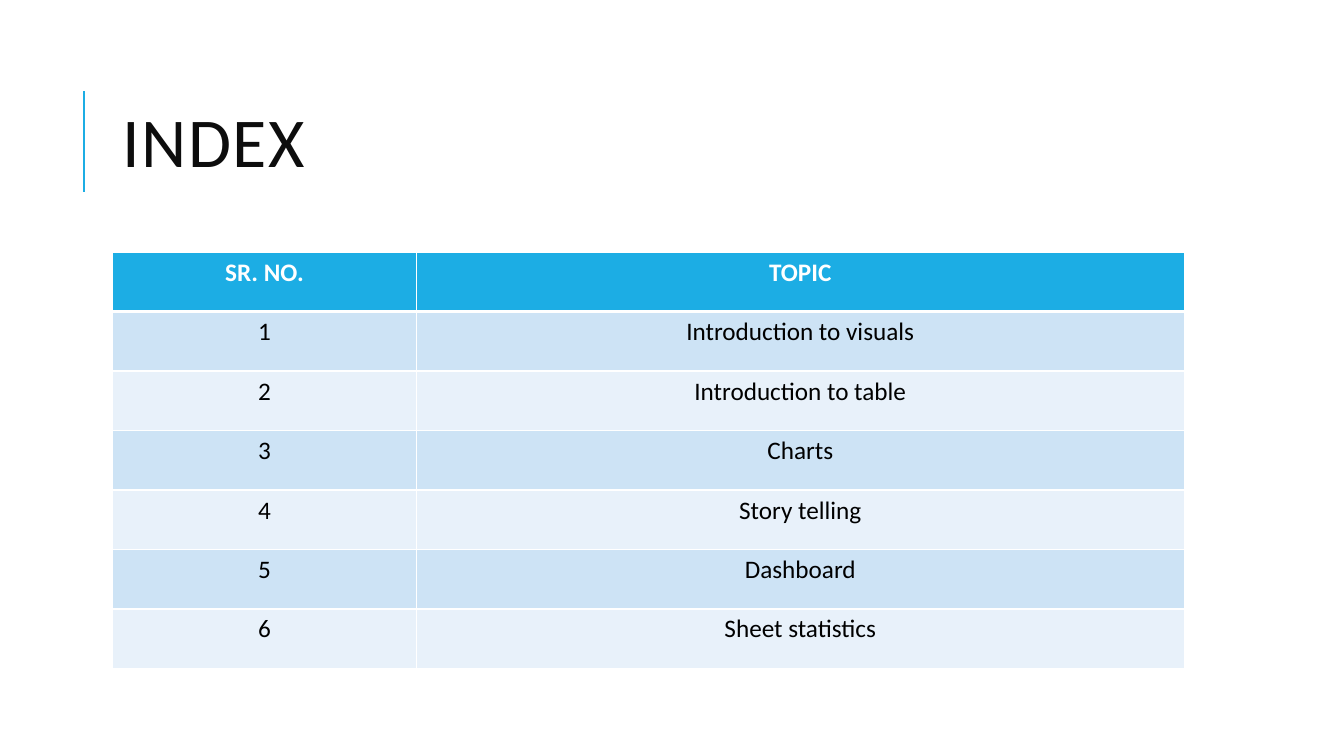
from dataclasses import dataclass

import pptx
import pptx.dml.color
import pptx.enum.shapes
import pptx.enum.text
import pptx.oxml
import pptx.oxml.ns
import pptx.util
from lxml import etree

SLIDE_WIDTH = pptx.util.Inches(13.33)
SLIDE_HEIGHT = pptx.util.Inches(7.5)
GRID_COLUMNS, GRID_ROWS = 96, 54


@dataclass(frozen=True)
class Theme:
    font: str = "Calibri"
    accent: str = "1CADE4"
    title: str = "0D0D0D"
    body: str = "000000"
    white: str = "FFFFFF"
    bands: tuple[str, str] = ("CDE3F5", "E8F1FA")
    title_size: float = 50
    table_size: float = 18
    accent_line: float = 1.5
    cell_line: float = 1
    header_line: float = 3


@dataclass(frozen=True)
class IndexEntry:
    number: str
    topic: str
    fill: str
    color: str
    header: bool = False


THEME = Theme()
TOPICS = ("Introduction to visuals", "Introduction to table", "Charts",
          "Story telling", "Dashboard", "Sheet statistics")

# Shared left edge, and the table's columns and row height, in grid units
CONTENT_LEFT = 8.06
NUMBER_WIDTH, TOPIC_WIDTH = 21.67, 54.87
CONTENT_WIDTH = NUMBER_WIDTH + TOPIC_WIDTH
ENTRY_HEIGHT = 4.25


def across(columns: float) -> int:
    return round(SLIDE_WIDTH * columns / GRID_COLUMNS)


def down(rows: float) -> int:
    return round(SLIDE_HEIGHT * rows / GRID_ROWS)


def rgb(color: str) -> pptx.dml.color.RGBColor:
    return pptx.dml.color.RGBColor.from_string(color)


def add_run(paragraph, text: str, size: float, color: str, bold: bool = False):
    run = paragraph.add_run()
    run.text = text
    run.font.name = THEME.font
    run.font.size = pptx.util.Pt(size)
    run.font.color.rgb = rgb(color)
    run.font.bold = bold
    return run


def draw_title(slide, text: str) -> None:
    # Accent rule
    rule = slide.shapes.add_connector(
        pptx.enum.shapes.MSO_CONNECTOR.STRAIGHT,
        across(6), down(13.7), across(6), down(6.5))
    rule.line.color.rgb = rgb(THEME.accent)
    rule.line.width = pptx.util.Pt(THEME.accent_line)
    etree.SubElement(rule.element.spPr, pptx.oxml.ns.qn("a:effectLst"))

    # Heading
    heading = slide.shapes.add_textbox(
        across(CONTENT_LEFT), down(4.6), across(CONTENT_WIDTH), down(11.8))
    frame = heading.text_frame
    frame.word_wrap = True
    frame.vertical_anchor = pptx.enum.text.MSO_ANCHOR.MIDDLE
    paragraph = frame.paragraphs[0]
    paragraph.line_spacing = 0.8
    run = add_run(paragraph, text, THEME.title_size, THEME.title)
    run.font._element.set("spc", "100")


def set_borders(cell, bottom: float) -> None:
    properties = cell._tc.get_or_add_tcPr()
    widths = {"L": THEME.cell_line, "R": THEME.cell_line,
              "T": THEME.cell_line, "B": bottom}
    for position, (side, width) in enumerate(widths.items()):
        border = pptx.oxml.parse_xml(
            f'<a:ln{side} {pptx.oxml.ns.nsdecls("a")} w="{pptx.util.Pt(width)}">'
            f'<a:solidFill><a:srgbClr val="{THEME.white}"/></a:solidFill>'
            f'</a:ln{side}>')
        properties.insert(position, border)


def draw_cell(cell, text: str, entry: IndexEntry) -> None:
    cell.fill.solid()
    cell.fill.fore_color.rgb = rgb(entry.fill)
    set_borders(cell, THEME.header_line if entry.header else THEME.cell_line)
    paragraph = cell.text_frame.paragraphs[0]
    paragraph.alignment = pptx.enum.text.PP_ALIGN.CENTER
    add_run(paragraph, text, THEME.table_size, entry.color, entry.header)


def draw_index(slide, entries: list[IndexEntry]) -> None:
    index = slide.shapes.add_table(
        len(entries), 2, across(CONTENT_LEFT), down(18),
        across(CONTENT_WIDTH), down(ENTRY_HEIGHT * len(entries))).table
    for column, width in zip(index.columns, (NUMBER_WIDTH, TOPIC_WIDTH)):
        column.width = across(width)
    for row, entry in zip(index.rows, entries):
        row.height = down(ENTRY_HEIGHT)
        for cell, text in zip(row.cells, (entry.number, entry.topic)):
            draw_cell(cell, text, entry)


def main() -> None:
    presentation = pptx.Presentation()
    presentation.slide_width = SLIDE_WIDTH
    presentation.slide_height = SLIDE_HEIGHT
    slide = presentation.slides.add_slide(presentation.slide_layouts[6])

    draw_title(slide, "INDEX")

    # Header followed by alternating bands
    header = IndexEntry("SR. NO.", "TOPIC", THEME.accent, THEME.white, header=True)
    entries = [IndexEntry(str(number + 1), topic, THEME.bands[number % 2], THEME.body)
               for number, topic in enumerate(TOPICS)]
    draw_index(slide, [header, *entries])

    presentation.save("out.pptx")


if __name__ == "__main__":
    main()
